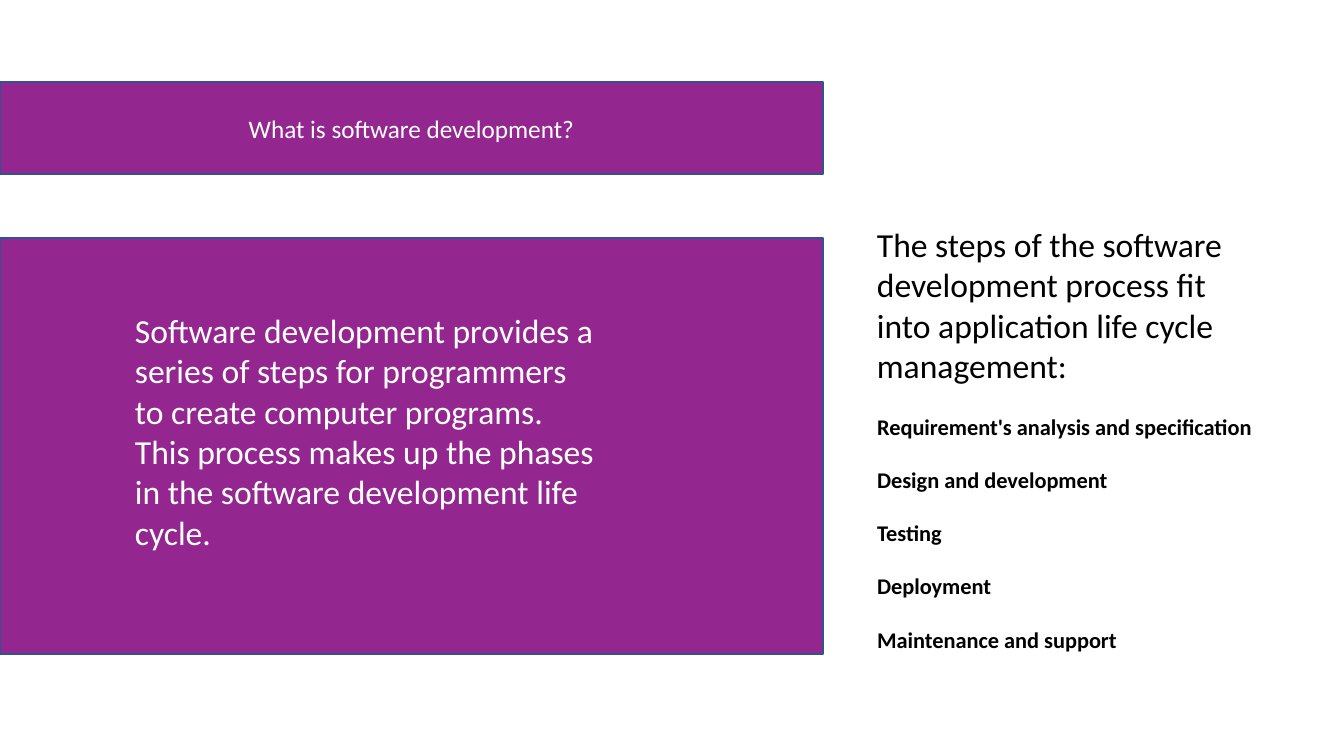
from lxml.etree import SubElement
from pptx import Presentation
from pptx.dml.color import RGBColor
from pptx.enum.shapes import MSO_SHAPE as Shape
from pptx.enum.text import MSO_ANCHOR as Anchor, MSO_AUTO_SIZE as AutoSize, PP_ALIGN as Align
from pptx.oxml.ns import qn
from pptx.util import Emu, Pt

EMU_PER_PX = 914400 / 100.8
COLORS = {"purple": "93278F", "outline": "31538F", "white": "FFFFFF", "black": "000000"}
FONT = "Calibri"
BAND_WIDTH = 823
STEPS_LEFT = 867

HEADING = "What is software development?"
DEFINITION = (
    "Software development provides a series of steps for programmers to create "
    "computer programs. This process makes up the phases in the software "
    "development life cycle."
)
STEPS_INTRO = (
    "The steps of the software development process fit "
    "into application life cycle management:"
)
STEPS = [
    "Requirement's analysis and specification",
    "Design and development",
    "Testing",
    "Deployment",
    "Maintenance and support",
]


def px(length):
    return Emu(round(length * EMU_PER_PX))


def color(name):
    return RGBColor.from_string(COLORS[name])


def place(shape, left, top, width, height):
    shape.left, shape.top = px(left), px(top)
    shape.width, shape.height = px(width), px(height)


def paint_band(shape):
    shape.fill.solid()
    shape.fill.fore_color.rgb = color("purple")
    shape.line.color.rgb = color("outline")
    shape.line.width = Pt(1)


def write(shape, lines, size, color_name, bold=False, align=Align.LEFT,
          anchor=Anchor.TOP, gap=0):
    """Fill the shape with one paragraph per line, gap points apart."""
    frame = shape.text_frame
    frame.text = "\n".join(lines)
    frame.word_wrap = True
    frame.auto_size = AutoSize.NONE
    frame.vertical_anchor = anchor
    for para in frame.paragraphs:
        para.alignment = align
        para.line_spacing = 1.0
        para.space_before, para.space_after = Pt(0), Pt(gap)
        para.font.name, para.font.size = FONT, Pt(size)
        para.font.bold = bold
        para.font.color.rgb = color(color_name)


def remove_bullets(shape):
    for para in shape.text_frame.paragraphs:
        properties = para._p.get_or_add_pPr()
        properties.set("marL", "0")
        properties.set("indent", "0")
        SubElement(properties, qn("a:buNone"))


def add_heading(page):
    heading = page.shapes.title
    place(heading, 0, 82, BAND_WIDTH, 92)
    paint_band(heading)
    write(heading, [HEADING], 18, "white", align=Align.CENTER, anchor=Anchor.MIDDLE)


def add_panel(page):
    panel = page.shapes.add_shape(
        Shape.RECTANGLE, px(0), px(238), px(BAND_WIDTH), px(416))
    panel.shadow.inherit = False
    paint_band(panel)


def add_text(page, left, top, width, height, text, color_name):
    box = page.shapes.add_textbox(px(left), px(top), px(width), px(height))
    write(box, [text], 24, color_name)


def add_steps(page):
    steps = page.placeholders[1]
    place(steps, STEPS_LEFT, 408, 460, 251)
    write(steps, STEPS, 16, "black", bold=True, gap=18.8)
    remove_bullets(steps)


def main():
    deck = Presentation()
    deck.slide_width, deck.slide_height = px(1344), px(756)
    page = deck.slides.add_slide(deck.slide_layouts[1])
    add_heading(page)
    add_panel(page)
    add_text(page, 125, 305, 482, 254, DEFINITION, "white")
    add_text(page, STEPS_LEFT, 219, 400, 173, STEPS_INTRO, "black")
    add_steps(page)
    deck.save("out.pptx")


if __name__ == "__main__":
    main()
